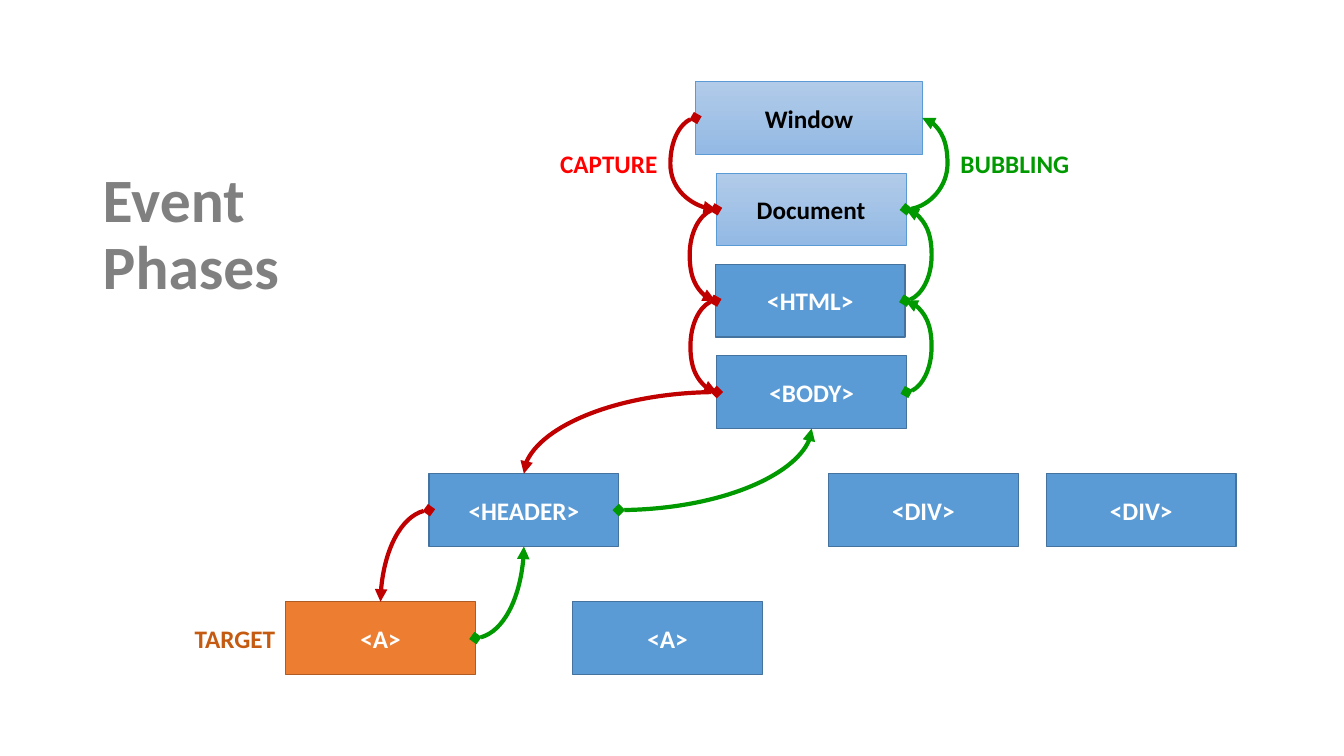
import pptx
import pptx.util
import pptx.dml.color
import pptx.enum.shapes
import pptx.enum.text
from lxml import etree

Pt = pptx.util.Pt
ALIGN = pptx.enum.text.PP_ALIGN
ANCHOR = pptx.enum.text.MSO_ANCHOR
A = "http://schemas.openxmlformats.org/drawingml/2006/main"

BLUE, BLUE_EDGE = "5B9BD5", "43739E"
ORANGE, ORANGE_EDGE = "ED7D31", "AF5C24"
RED, GREEN = "C00000", "009900"
BOX_W, BOX_H = 135.6, 52
TOP, LEFT, BOTTOM, RIGHT = range(4)  # connection sites of a rectangle
BULGE = 18


def rgb(value):
    """Turn a hex string into a colour."""
    return pptx.dml.color.RGBColor.from_string(value)


def format_text(tf, size, color, align):
    """Format every paragraph and run of a text frame."""
    for p in tf.paragraphs:
        p.alignment = align
        for r in p.runs:
            r.font.size = Pt(size)
            r.font.name = "Calibri"
            r.font.bold = True
            r.font.color.rgb = rgb(color)


def set_title(s, text):
    """Place and format the slide title."""
    sp = s.shapes.title
    sp.left, sp.top, sp.width, sp.height = Pt(66.2), Pt(116.6), Pt(159), Pt(104.4)
    tf = sp.text_frame
    tf.text = text
    tf.vertical_anchor = ANCHOR.MIDDLE
    tf.word_wrap = True
    tf.paragraphs[0].line_spacing = 0.9
    format_text(tf, 44, "808080", ALIGN.LEFT)


def add_box(s, text, x, y, w=BOX_W, fill=BLUE, edge=BLUE_EDGE, line=1, color="FFFFFF"):
    """Add a node; a pair of fill colours makes a vertical gradient."""
    sp = s.shapes.add_shape(pptx.enum.shapes.MSO_SHAPE.RECTANGLE,
                            Pt(x), Pt(y), Pt(w), Pt(BOX_H))
    sp.shadow.inherit = False
    if isinstance(fill, tuple):
        sp.fill.gradient()
        sp.fill.gradient_angle = 270
        for stop, value in zip(sp.fill.gradient_stops, fill):
            stop.color.rgb = rgb(value)
    else:
        sp.fill.solid()
        sp.fill.fore_color.rgb = rgb(fill)
    sp.line.color.rgb = rgb(edge)
    sp.line.width = Pt(line)
    sp.text_frame.text = text
    sp.text_frame.vertical_anchor = ANCHOR.MIDDLE
    format_text(sp.text_frame, 18, color, ALIGN.CENTER)
    return sp


def add_label(s, text, x, y, color, align):
    """Add a phase label."""
    tf = s.shapes.add_textbox(Pt(x), Pt(y), Pt(126.7), Pt(29)).text_frame
    tf.word_wrap = True
    tf.auto_size = pptx.enum.text.MSO_AUTO_SIZE.SHAPE_TO_FIT_TEXT
    tf.text = text
    format_text(tf, 18, color, align)


def add_curve(s, start, start_site, end, end_site, color):
    """Connect two nodes: a C curve between equal sites, else a quarter curve."""
    cx = s.shapes.add_connector(pptx.enum.shapes.MSO_CONNECTOR.CURVE, 0, 0, 0, 0)
    cx.begin_connect(start, start_site)
    cx.end_connect(end, end_site)
    cx.line.color.rgb = rgb(color)
    cx.line.width = Pt(3)
    spPr = cx._element.spPr
    geom = spPr.find(f"{{{A}}}prstGeom")
    if start_site == end_site:
        ends = cx.begin_x, cx.end_x
        outer = min(ends) - Pt(BULGE) if start_site == LEFT else max(ends) + Pt(BULGE)
        adj = round((outer - ends[0]) / (ends[1] - ends[0]) * 100000)
        guides = geom.find(f"{{{A}}}avLst")
        etree.SubElement(guides, f"{{{A}}}gd", name="adj1", fmla=f"val {adj}")
    else:
        geom.set("prst", "curvedConnector2")
    if start_site == LEFT:  # a curve leaving leftwards is turned by half a circle
        xfrm = spPr.find(f"{{{A}}}xfrm")
        xfrm.set("rot", "10800000")
        for flip in ("flipH", "flipV"):
            xfrm.set(flip, "0" if xfrm.get(flip) in ("1", "true") else "1")
    ln = cx.line._get_or_add_ln()
    etree.SubElement(ln, f"{{{A}}}headEnd", type="diamond")
    etree.SubElement(ln, f"{{{A}}}tailEnd", type="triangle")
    etree.SubElement(spPr, f"{{{A}}}effectLst")


def main():
    """Build the event phases slide."""
    prs = pptx.Presentation()
    prs.slide_width, prs.slide_height = Pt(960), Pt(540)
    s = prs.slides.add_slide(prs.slide_layouts[5])
    set_title(s, "Event\vPhases")

    rows = [58.3 + 65.25 * i for i in range(4)]
    child_y, leaf_y = 338.4, 429.8
    root = dict(fill=("B1CBE9", "93B9E4"), edge=BLUE, line=0.5, color="000000")
    window = add_box(s, "Window", 496.8, rows[0], w=162, **root)
    document = add_box(s, "Document", 511.5, rows[1], **root)
    html = add_box(s, "<HTML>", 511, rows[2])
    body = add_box(s, "<BODY>", 512, rows[3])
    header = add_box(s, "<HEADER>", 306.4, child_y)
    for x in (591.8, 747.4):
        add_box(s, "<DIV>", x, child_y)
    target = add_box(s, "<A>", 204, leaf_y, fill=ORANGE, edge=ORANGE_EDGE)
    add_box(s, "<A>", 409, leaf_y)

    chain = [window, document, html, body]
    for upper, lower in zip(chain, chain[1:]):
        add_curve(s, upper, LEFT, lower, LEFT, RED)
    for parent, child in ((body, header), (header, target)):
        add_curve(s, parent, LEFT, child, TOP, RED)
    for child, parent in ((target, header), (header, body)):
        add_curve(s, child, RIGHT, parent, BOTTOM, GREEN)
    for lower, upper in zip(chain[::-1], chain[-2::-1]):
        add_curve(s, lower, RIGHT, upper, RIGHT, GREEN)

    add_label(s, "CAPTURE", 350, 102.5, "FF0000", ALIGN.RIGHT)
    add_label(s, "TARGET", 77, 441.4, "C55A11", ALIGN.RIGHT)
    add_label(s, "BUBBLING", 679, 102.5, GREEN, ALIGN.LEFT)
    prs.save("out.pptx")


main()
